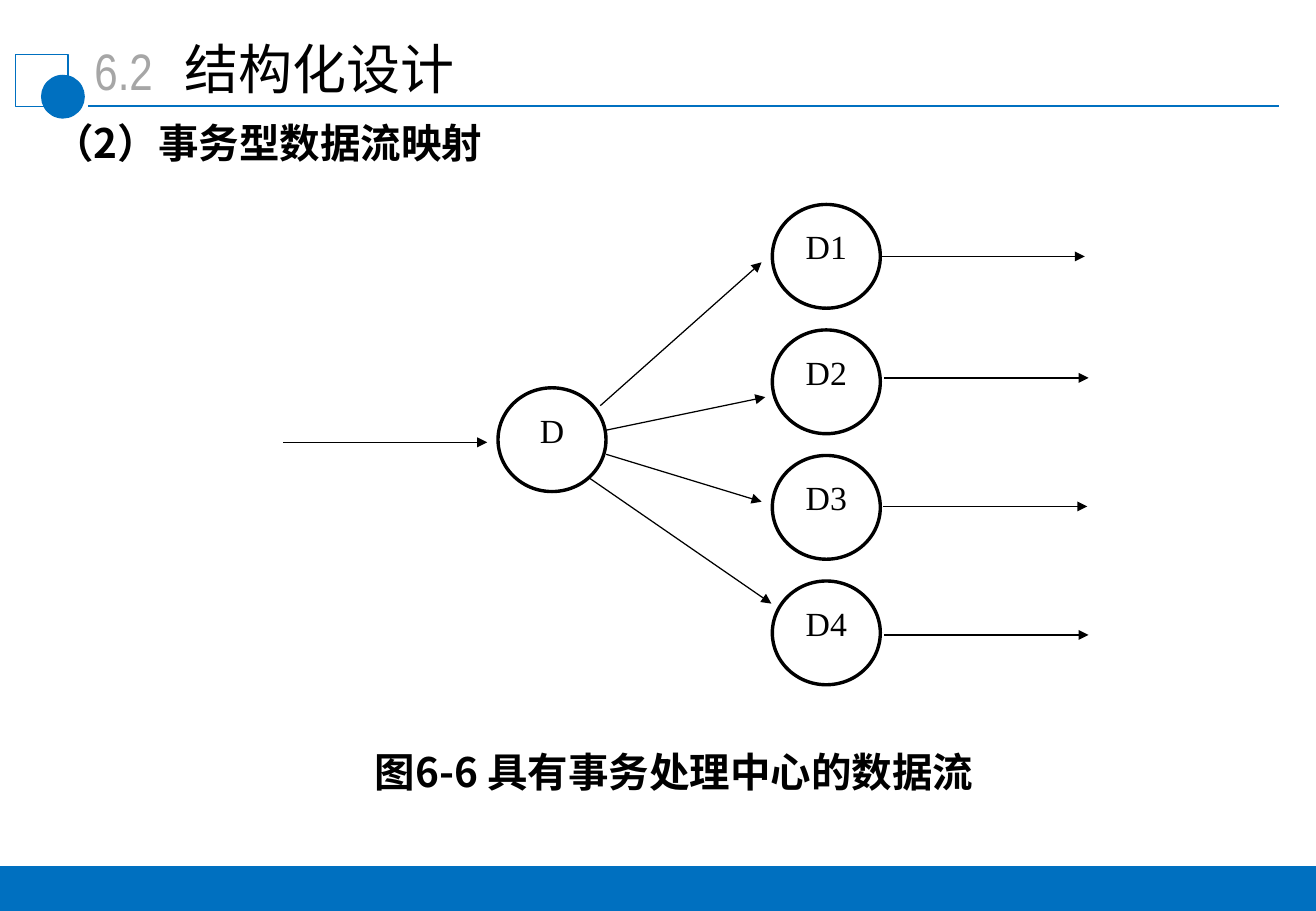
import lxml.etree
import pptx
import pptx.dml.color
import pptx.enum.shapes
import pptx.enum.text
import pptx.oxml.ns
import pptx.util

Pt = pptx.util.Pt
ALIGN = pptx.enum.text.PP_ALIGN
ANCHOR = pptx.enum.text.MSO_ANCHOR
SHAPE = pptx.enum.shapes.MSO_SHAPE
COLORS = {"blue": "0070C0", "grey": "A6A6A6", "black": "000000", "white": "FFFFFF"}
CJK_FONT = "Noto Sans CJK SC"


def rgb(name):
    """Return the named colour."""
    return pptx.dml.color.RGBColor.from_string(COLORS[name])


def add_xml(parent, tag, **attributes):
    """Append a DrawingML element to its parent."""
    lxml.etree.SubElement(parent, pptx.oxml.ns.qn(tag), attributes)


def write_text(shape, text, *, size, font, color="black", bold=False, align=ALIGN.LEFT,
               anchor=ANCHOR.TOP, insets=(7.2, 3.6), line_spacing=None):
    """Write one formatted paragraph into a shape."""
    frame = shape.text_frame
    frame.word_wrap = True
    frame.auto_size = pptx.enum.text.MSO_AUTO_SIZE.NONE
    frame.vertical_anchor = anchor
    frame.margin_left = frame.margin_right = Pt(insets[0])
    frame.margin_top = frame.margin_bottom = Pt(insets[1])
    paragraph = frame.paragraphs[0]
    paragraph.alignment = align
    paragraph.space_before = Pt(0)
    if line_spacing:
        paragraph.line_spacing = Pt(line_spacing)
    run = paragraph.add_run()
    run.text = text
    run.font.size = Pt(size)
    run.font.bold = bold
    run.font.color.rgb = rgb(color)
    run.font.name = font
    add_xml(run.font._element, "a:ea", typeface=CJK_FONT)


def add_text(slide, box, text, **text_format):
    """Add a text box with one formatted paragraph."""
    write_text(slide.shapes.add_textbox(*map(Pt, box)), text, **text_format)


def add_shape(slide, kind, box, fill=None, line=None, width=0.75):
    """Add a preset shape with plain fill and outline."""
    shape = slide.shapes.add_shape(kind, *map(Pt, box))
    shape.shadow.inherit = False
    if fill:
        shape.fill.solid()
        shape.fill.fore_color.rgb = rgb(fill)
    else:
        shape.fill.background()
    if line:
        shape.line.color.rgb = rgb(line)
        shape.line.width = Pt(width)
    else:
        shape.line.fill.background()
    return shape


def add_line(slide, start, end, color="black", width=0.75, arrow=True):
    """Add a straight line, with an arrowhead at its end if wanted."""
    connector = slide.shapes.add_connector(
        pptx.enum.shapes.MSO_CONNECTOR.STRAIGHT, *map(Pt, (*start, *end)))
    connector.line.color.rgb = rgb(color)
    connector.line.width = Pt(width)
    if arrow:
        add_xml(connector.line._get_or_add_ln(), "a:tailEnd", type="triangle")
    add_xml(connector._element.spPr, "a:effectLst")


def add_header(slide, left, top):
    """Place the emblem, section number, title and rule."""
    add_shape(slide, SHAPE.RECTANGLE, (left, top + 15, 31, 31), line="blue")
    add_shape(slide, SHAPE.OVAL, (left + 15, top + 27, 26, 26), fill="blue")
    add_text(slide, (left + 28, top + 2.2, 72, 45), "6.2", size=30.4, font="Arial Narrow",
             color="grey", align=ALIGN.CENTER, insets=(7.9, 3.6))
    title = slide.shapes.title
    title.left, title.top, title.width, title.height = map(Pt, (left + 92, top, 356, 47))
    write_text(title, "结构化设计", size=32, font="Arial", insets=(7.9, 3.6))
    add_line(slide, (left + 43, top + 45.7), (left + 748.5, top + 45.7),
             color="blue", width=1.25, arrow=False)


def add_diagram(slide, left, top):
    """Place the transaction centre, its four branches and the arrows."""
    branch_left, branch_pitch, arrow_length = 290, 74.4, 121
    nodes = [("D", 127.4, 108.7)]
    nodes += [(f"D{i + 1}", branch_left, i * branch_pitch) for i in range(4)]
    for label, x, y in nodes:
        node = add_shape(slide, SHAPE.OVAL, (left + x, top + y, 64, 61.5),
                         fill="white", line="black", width=2)
        write_text(node, label, size=20, font="Times New Roman", align=ALIGN.CENTER,
                   anchor=ANCHOR.MIDDLE, insets=(0, 0), line_spacing=12)
    flows = [(0, 141), (354.2, 30.8), (356.4, 102.8), (355.7, 179), (356.4, 255.2)]
    arrows = [(x, y, x + arrow_length, y) for x, y in flows]
    arrows += [(188, 119.3, 283.6, 34.3), (191.5, 133.8, 285.8, 114.2),
               (191.5, 148.1, 283.6, 176.2), (182, 162.5, 289.4, 236.6)]
    for x1, y1, x2, y2 in arrows:
        add_line(slide, (left + x1, top + y1), (left + x2, top + y2))


def main():
    """Build the slide and save it."""
    presentation = pptx.Presentation()
    presentation.slide_width, presentation.slide_height = Pt(780), Pt(540)
    slide = presentation.slides.add_slide(presentation.slide_layouts[5])
    add_header(slide, 9.3, 17.3)
    add_text(slide, (24.5, 66.2, 356, 36), "（2）事务型数据流映射",
             size=24, font=CJK_FONT, bold=True)
    add_diagram(slide, 167.8, 121.2)
    add_text(slide, (215, 439.2, 390, 36), "图6-6 具有事务处理中心的数据流",
             size=24, font=CJK_FONT, bold=True)
    add_shape(slide, SHAPE.RECTANGLE, (0, 513.4, 780, 26.6), fill="blue")
    presentation.save("out.pptx")


if __name__ == "__main__":
    main()
